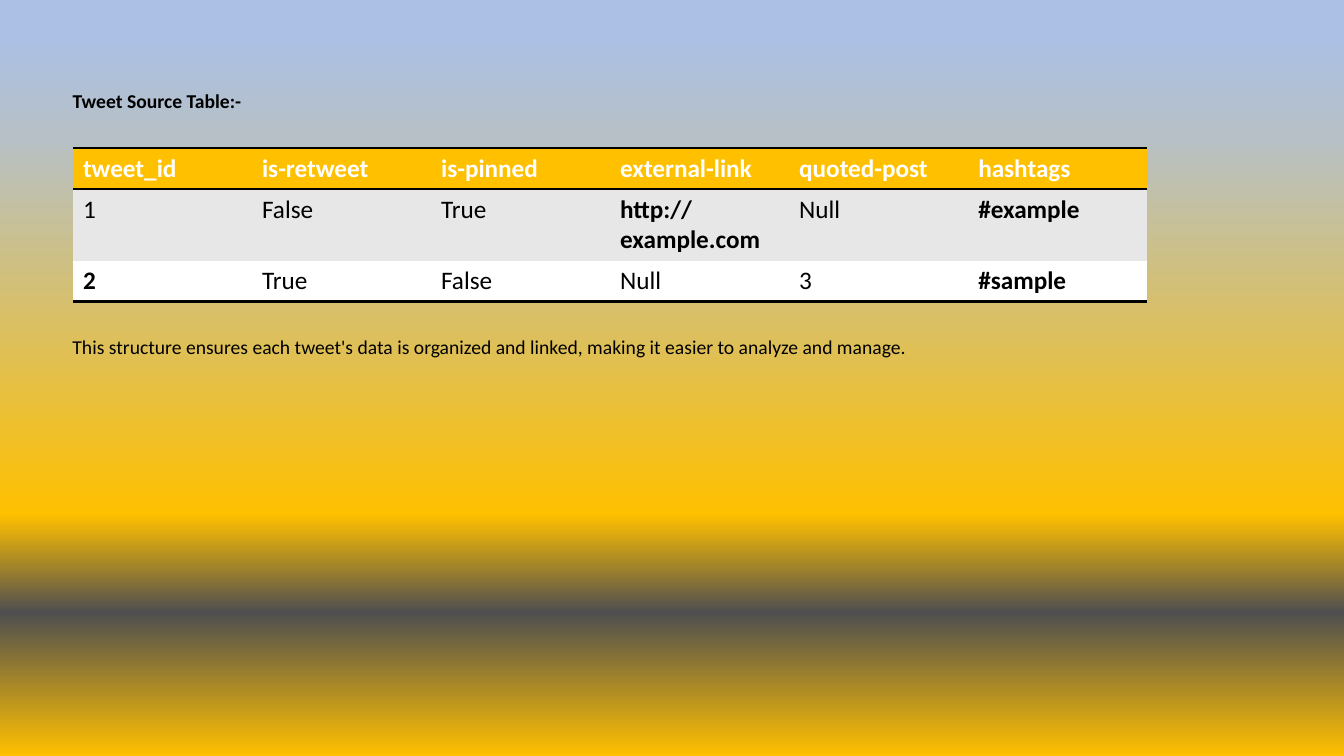
import pptx
import pptx.util
import pptx.dml.color
import pptx.enum.text
import pptx.oxml
import pptx.oxml.ns

Pt = pptx.util.Pt
RGBColor = pptx.dml.color.RGBColor
qn = pptx.oxml.ns.qn

BLACK = RGBColor(0x00, 0x00, 0x00)
WHITE = RGBColor(0xFF, 0xFF, 0xFF)
AMBER = RGBColor(0xFF, 0xC0, 0x00)
BAND = RGBColor(0xE7, 0xE7, 0xE7)
SKY = RGBColor(0xAB, 0xC0, 0xE4)
MIST = RGBColor(0xB6, 0xC0, 0xC6)
GRAPHITE = RGBColor(0x4F, 0x4F, 0x4F)

BACKDROP_STOPS = [
    (5, SKY, 100),
    (18, MIST, 100),
    (68, AMBER, 100),
    (81, GRAPHITE, 83),
    (100, AMBER, 100),
]
PLAIN_TABLE_STYLE = "{2D5ABB26-0587-4C30-8999-92F81FD0307C}"
ROWS = [
    ["tweet_id", "is-retweet", "is-pinned", "external-link", "quoted-post", "hashtags"],
    ["1", "False", "True", "http://example.com", "Null", "#example"],
    ["2", "True", "False", "Null", "3", "#sample"],
]
BOLD_VALUES = {"http://example.com", "#example", "2", "#sample"}
ROW_FILLS = [AMBER, BAND, WHITE]
ROW_RULES = [["lnT", "lnB"], [], ["lnB"]]
TEXT_LEFT, TEXT_WIDTH, TEXT_HEIGHT = Pt(44.64), Pt(848.9), Pt(24)


def drawing_element(markup):
    namespace = pptx.oxml.ns.nsdecls("a")
    return pptx.oxml.parse_xml(markup.replace(">", f" {namespace}>", 1))


def paint_backdrop(slide):
    fill = slide.background.fill
    fill.gradient()
    fill.gradient_angle = 270
    stops = slide.element.find(".//" + qn("a:gsLst"))
    for stop in list(stops):
        stops.remove(stop)
    for position, color, opacity in BACKDROP_STOPS:
        alpha = f'<a:alpha val="{opacity * 1000}"/>' if opacity < 100 else ""
        stops.append(drawing_element(
            f'<a:gs pos="{position * 1000}">'
            f'<a:srgbClr val="{color}">{alpha}</a:srgbClr></a:gs>'))


def write_text(frame, text, size, color, bold):
    para = frame.paragraphs[0]
    para.alignment = pptx.enum.text.PP_ALIGN.LEFT
    span = para.add_run()
    span.text = text
    font_format = {"name": "Calibri", "size": Pt(size), "bold": bold}
    for name, value in font_format.items():
        setattr(span.font, name, value)
    span.font.color.rgb = color
    return para


def fill_text_box(box, top, text, bold):
    place = {"left": TEXT_LEFT, "top": top, "width": TEXT_WIDTH, "height": TEXT_HEIGHT}
    for name, value in place.items():
        setattr(box, name, value)
    frame_format = {
        "word_wrap": True,
        "auto_size": pptx.enum.text.MSO_AUTO_SIZE.NONE,
        "vertical_anchor": pptx.enum.text.MSO_ANCHOR.TOP,
    }
    for name, value in frame_format.items():
        setattr(box.text_frame, name, value)
    para = write_text(box.text_frame, text, 14, BLACK, bold)
    para.line_spacing = 0.9


def rule_cell(cell, edges):
    properties = cell._tc.get_or_add_tcPr()
    for index, edge in enumerate(edges):
        properties.insert(index, drawing_element(
            f'<a:{edge} w="{Pt(2)}">'
            f'<a:solidFill><a:srgbClr val="{BLACK}"/></a:solidFill></a:{edge}>'))


def add_source_table(slide):
    frame = slide.shapes.add_table(
        len(ROWS), len(ROWS[0]), Pt(52.1), Pt(105.84), Pt(767.4), Pt(87.6))
    table = frame.table
    table._tbl.tblPr.find(qn("a:tableStyleId")).text = PLAIN_TABLE_STYLE
    for row_index, values in enumerate(ROWS):
        is_header = row_index == 0
        for column_index, value in enumerate(values):
            cell = table.cell(row_index, column_index)
            cell.fill.solid()
            cell.fill.fore_color.rgb = ROW_FILLS[row_index]
            rule_cell(cell, ROW_RULES[row_index])
            write_text(cell.text_frame, value, 18, WHITE if is_header else BLACK,
                       is_header or value in BOLD_VALUES)
    frame.height = Pt(108.7)


def main():
    deck = pptx.Presentation()
    deck.slide_width, deck.slide_height = Pt(960), Pt(540)
    page = deck.slides.add_slide(deck.slide_layouts.get_by_name("Title Only"))
    paint_backdrop(page)
    fill_text_box(page.shapes.title, Pt(61.9), "Tweet Source Table:-", True)
    add_source_table(page)
    note = page.shapes.add_textbox(TEXT_LEFT, Pt(237.6), TEXT_WIDTH, TEXT_HEIGHT)
    fill_text_box(
        note, Pt(237.6),
        "This structure ensures each tweet's data is organized and linked, "
        "making it easier to analyze and manage.", False)
    deck.save("out.pptx")


if __name__ == "__main__":
    main()
